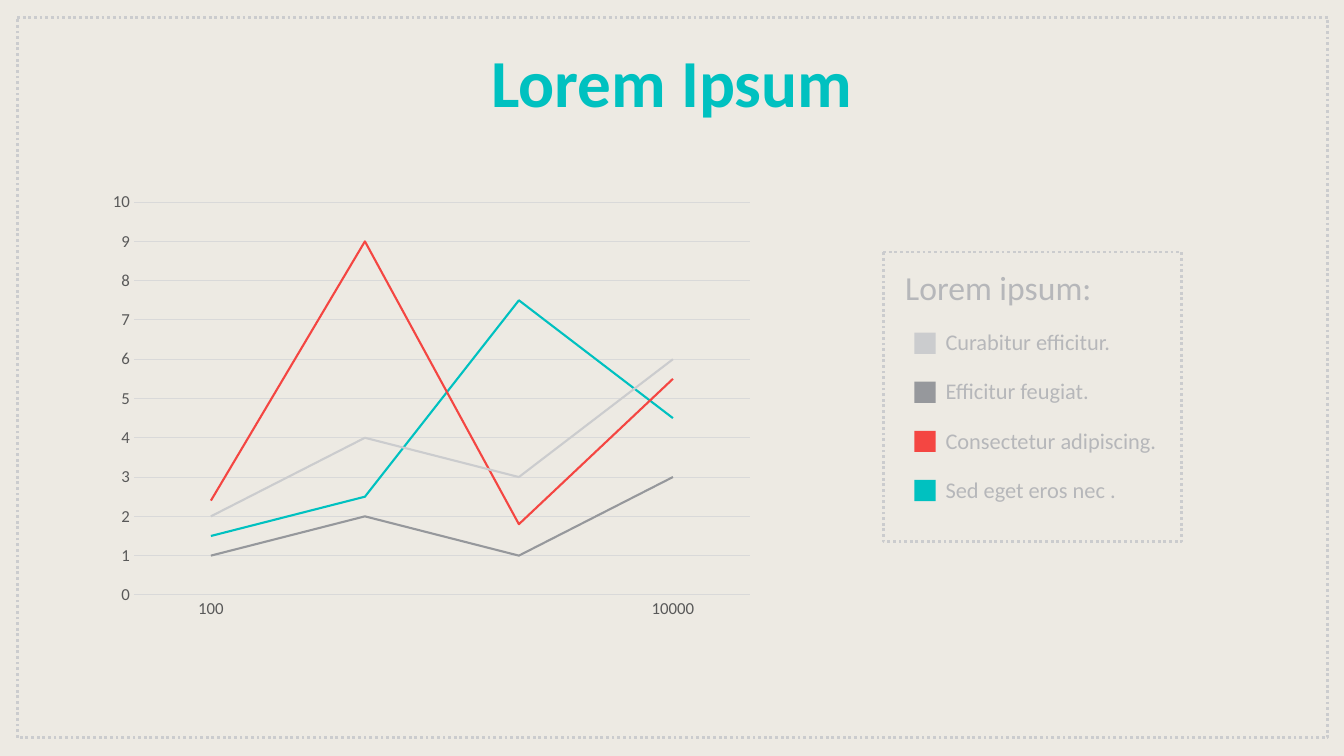
from pptx import Presentation
from pptx.chart.data import CategoryChartData as ChartData
from pptx.dml.color import RGBColor as RGB
from pptx.enum.chart import XL_CHART_TYPE as Kind, XL_TICK_MARK as Tick
from pptx.enum.dml import MSO_LINE as Dash
from pptx.enum.shapes import MSO_SHAPE as Shape
from pptx.enum.text import MSO_ANCHOR as Anchor, MSO_AUTO_SIZE as Auto, PP_ALIGN as Align
from pptx.oxml import parse_xml
from pptx.oxml.ns import nsdecls
from pptx.util import Inches, Pt

CREAM = RGB(0xED, 0xEA, 0xE3)
TEAL = RGB(0x00, 0xC1, 0xC0)
RED = RGB(0xF4, 0x46, 0x42)
LIGHT = RGB(0xCB, 0xCC, 0xCE)
DARK = RGB(0x96, 0x98, 0x9C)
TEXT = RGB(0xB6, 0xB7, 0xBA)
AXIS = RGB(0x59, 0x59, 0x59)
GRID = RGB(0xD9, 0xD9, 0xD9)

deck = Presentation()
deck.slide_width, deck.slide_height = Inches(13.33), Inches(7.5)
slide = deck.slides.add_slide(deck.slide_layouts[5])
slide.background.fill.solid()
slide.background.fill.fore_color.rgb = CREAM


def box(kind, *area):
    shape = slide.shapes.add_shape(kind, *map(Inches, area))
    shape.shadow.inherit = False
    return shape


def write(shape, text, area, **font):
    shape.left, shape.top, shape.width, shape.height = map(Inches, area)
    frame = shape.text_frame
    frame.text = text
    frame.word_wrap = True
    frame.auto_size = Auto.SHAPE_TO_FIT_TEXT
    frame.vertical_anchor = Anchor.TOP
    run = frame.paragraphs[0].runs[0]
    run.font.color.rgb = font.pop("color")
    for name, value in {"name": "Calibri", **font}.items():
        setattr(run.font, name, value)


# Title
title = slide.shapes.title
write(title, "Lorem Ipsum", (4.54, 0.35, 4.25, 0.91), size=Pt(48), bold=True, color=TEAL)
title.text_frame.paragraphs[0].alignment = Align.CENTER

# Dotted frames round the slide and the legend
for area in ((0.17, 0.17, 13, 7.15), (8.76, 2.5, 2.96, 2.87)):
    frame = box(Shape.ROUNDED_RECTANGLE, *area)
    frame.adjustments[0] = 0
    frame.fill.background()
    frame.line.color.rgb = LIGHT
    frame.line.width = Pt(2)
    frame.line.dash_style = Dash.ROUND_DOT

# Line chart
lines = [
    ("Series 1", (1.5, 2.5, 7.5, 4.5), TEAL),
    ("Series 2", (2.4, 9, 1.8, 5.5), RED),
    ("Series 3", (2, 4, 3, 6), LIGHT),
    ("Series 4", (1, 2, 1, 3), DARK),
]
data = ChartData()
data.categories = ["100", "", "", "10000"]
for name, values, color in lines:
    data.add_series(name, values)
area = map(Inches, (1, 1.83, 6.57, 4.38))
chart = slide.shapes.add_chart(Kind.LINE, *area, data).chart
chart.has_legend = chart.has_title = False
chart.font.name, chart.font.size = "Calibri", Pt(10)
for series, (name, values, color) in zip(chart.plots[0].series, lines):
    series.smooth = False
    series.format.line.color.rgb = color
    series.format.line.width = Pt(1.5)
chart.plots[0].vary_by_categories = False

# Axes and grid
level, scale = chart.category_axis, chart.value_axis
for axis in (level, scale):
    axis.major_tick_mark = axis.minor_tick_mark = Tick.NONE
    font = axis.tick_labels.font
    font.name, font.size = "Calibri", Pt(12)
    font.color.rgb = AXIS
scale.minimum_scale, scale.maximum_scale, scale.major_unit = 0, 10, 1
scale.format.line.fill.background()
for line in (level.format.line, scale.major_gridlines.format.line):
    line.color.rgb = GRID
    line.width = Pt(0.75)

# Plot area as shares of the chart
plot = chart.plots[0]._element.getparent()
for old in plot.findall("{*}layout"):
    plot.remove(old)
spots = {"x": 0.05, "y": 0.04, "w": 0.93, "h": 0.89}
parts = "".join(f'<c:{key}Mode val="edge"/>' for key in "xy")
parts += "".join(f'<c:{key} val="{share}"/>' for key, share in spots.items())
plot.insert(0, parse_xml(
    f'<c:layout {nsdecls("c")}><c:manualLayout><c:layoutTarget val="inner"/>'
    f"{parts}</c:manualLayout></c:layout>"))

# Legend
label = slide.shapes.add_textbox(0, 0, 0, 0)
write(label, "Lorem ipsum:", (8.88, 2.6, 2.85, 0.5), size=Pt(24), color=TEXT)
items = [
    ("Curabitur efficitur.", LIGHT),
    ("Efficitur feugiat.", DARK),
    ("Consectetur adipiscing.", RED),
    ("Sed eget eros nec .", TEAL),
]
for row, (text, color) in enumerate(items):
    top = 3.3 + row * 0.487
    key = box(Shape.RECTANGLE, 9.07, top, 0.21, 0.21)
    key.fill.solid()
    key.fill.fore_color.rgb = color
    key.line.fill.background()
    label = slide.shapes.add_textbox(0, 0, 0, 0)
    write(label, text, (9.28, top - 0.09, 2.45, 0.37), size=Pt(16), color=TEXT)

deck.save("out.pptx")
